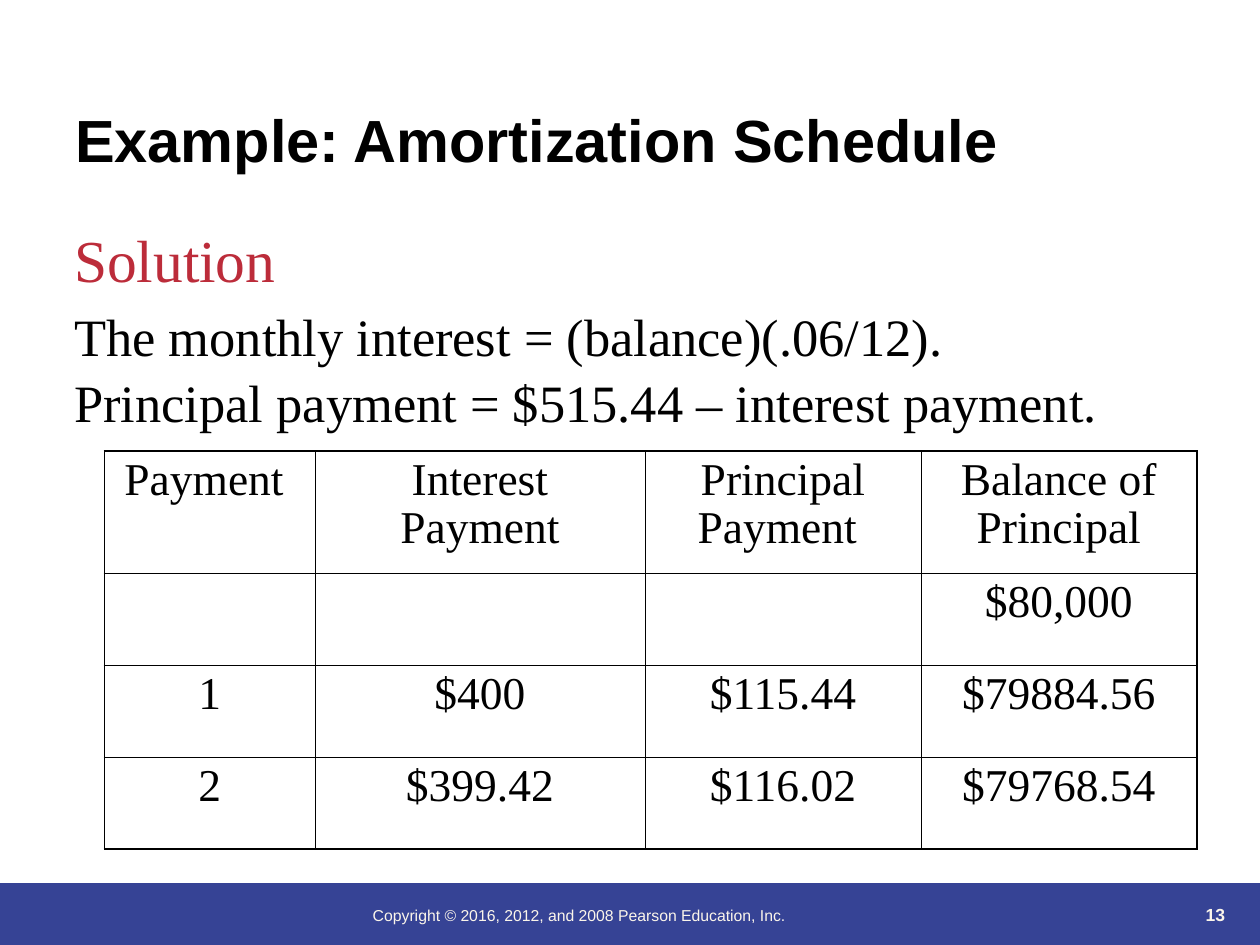
"""Build the amortization schedule slide."""
import lxml.etree
import pptx
import pptx.dml.color
import pptx.enum.shapes
import pptx.enum.text
import pptx.oxml.ns
import pptx.util

RGBColor = pptx.dml.color.RGBColor
Inches = pptx.util.Inches
Pt = pptx.util.Pt
Align = pptx.enum.text.PP_ALIGN
Anchor = pptx.enum.text.MSO_ANCHOR

BLACK = RGBColor(0, 0, 0)
CRIMSON = RGBColor(0xBC, 0x2C, 0x3A)
INDIGO = RGBColor(0x36, 0x43, 0x95)
CREAM = RGBColor(0xFB, 0xF5, 0xEA)
SANS = "Arial"
SERIF = "Times New Roman"
INNER_LINE, OUTER_LINE = 0.45, 1.08

COLUMN_WIDTHS = [1.67, 2.62, 2.19, 2.19]
ROW_HEIGHTS = [0.97, 0.73, 0.73, 0.73]
SCHEDULE = [
    ["Payment ", "Interest Payment", "Principal Payment ", "Balance of Principal"],
    ["", "", "", "$80,000"],
    ["1", "$400", "$115.44", "$79884.56"],
    ["2", "$399.42", "$116.02", "$79768.54"],
]


def format_text(text_frame, size, name, color, bold=False, align=Align.LEFT, spacing=1.0):
    """Apply one style to every paragraph and run of a text frame."""
    for paragraph in text_frame.paragraphs:
        paragraph.alignment = align
        paragraph.line_spacing = spacing
        for run in paragraph.runs:
            run.font.size = Pt(size)
            run.font.name = name
            run.font.bold = bold
            run.font.color.rgb = color


def add_text(slide, box, text, size, name, color, anchor=Anchor.TOP, **style):
    """Add a wrapping text box at left, top, width, height in inches."""
    shape = slide.shapes.add_textbox(*map(Inches, box))
    text_frame = shape.text_frame
    text_frame.word_wrap = True
    text_frame.vertical_anchor = anchor
    text_frame.text = text
    format_text(text_frame, size, name, color, **style)


def add_band(slide, box, color):
    """Add a plain filled rectangle."""
    shape = slide.shapes.add_shape(
        pptx.enum.shapes.MSO_SHAPE.RECTANGLE, *map(Inches, box))
    shape.shadow.inherit = False
    shape.fill.solid()
    shape.fill.fore_color.rgb = color
    shape.line.fill.background()


def set_borders(cell, widths):
    """Draw the left, right, top and bottom borders of a cell."""
    properties = cell._tc.get_or_add_tcPr()
    for position, (side, width) in enumerate(zip("LRTB", widths)):
        line = lxml.etree.Element(
            pptx.oxml.ns.qn(f"a:ln{side}"), w=str(int(Pt(width))))
        fill = lxml.etree.SubElement(line, pptx.oxml.ns.qn("a:solidFill"))
        lxml.etree.SubElement(
            fill, pptx.oxml.ns.qn("a:srgbClr"), val=str(BLACK))
        properties.insert(position, line)


def add_schedule(slide, left, top):
    """Add the payment table with a heavier outer frame."""
    last_row, last_column = len(ROW_HEIGHTS) - 1, len(COLUMN_WIDTHS) - 1
    frame = slide.shapes.add_table(
        last_row + 1, last_column + 1, Inches(left), Inches(top),
        Inches(sum(COLUMN_WIDTHS)), Inches(sum(ROW_HEIGHTS)))
    table = frame.table
    table.first_row = table.horz_banding = False
    for column, width in zip(table.columns, COLUMN_WIDTHS):
        column.width = Inches(width)
    for row, height in zip(table.rows, ROW_HEIGHTS):
        row.height = Inches(height)
    for row_index, values in enumerate(SCHEDULE):
        for column_index, value in enumerate(values):
            cell = table.cell(row_index, column_index)
            cell.fill.background()
            cell.text_frame.text = value
            format_text(cell.text_frame, 26, SERIF, BLACK,
                        align=Align.CENTER, spacing=0.95)
            on_frame = (column_index == 0, column_index == last_column,
                        row_index == 0, row_index == last_row)
            set_borders(cell, [OUTER_LINE if edge else INNER_LINE
                               for edge in on_frame])


def main():
    """Create and save the presentation."""
    presentation = pptx.Presentation()
    presentation.slide_width, presentation.slide_height = Inches(10), Inches(7.5)
    slide = presentation.slides.add_slide(presentation.slide_layouts[6])
    add_band(slide, (0, 7.01, 10, 0.49), INDIGO)
    add_text(slide, (2.86, 7.14, 4.92, 0.5),
             "Copyright © 2016, 2012, and 2008 Pearson Education, Inc.",
             9, SANS, CREAM)
    add_text(slide, (8.9, 6.89, 0.92, 0.5), "13", 10, SANS, CREAM,
             anchor=Anchor.BOTTOM, bold=True, align=Align.RIGHT)
    add_text(slide, (0.5, 0.18, 9, 1.25), "Example: Amortization Schedule",
             34, SANS, BLACK, anchor=Anchor.BOTTOM, bold=True)
    add_text(slide, (0.49, 1.69, 6.92, 0.67), "Solution",
             34, SERIF, CRIMSON, spacing=1.05)
    add_text(slide, (0.49, 2.34, 8.83, 1.1),
             "The monthly interest = (balance)(.06/12).\n"
             "Principal payment = $515.44 – interest payment.",
             30, SERIF, BLACK, spacing=1.05)
    add_schedule(slide, 0.83, 3.58)
    presentation.save("out.pptx")


if __name__ == "__main__":
    main()
